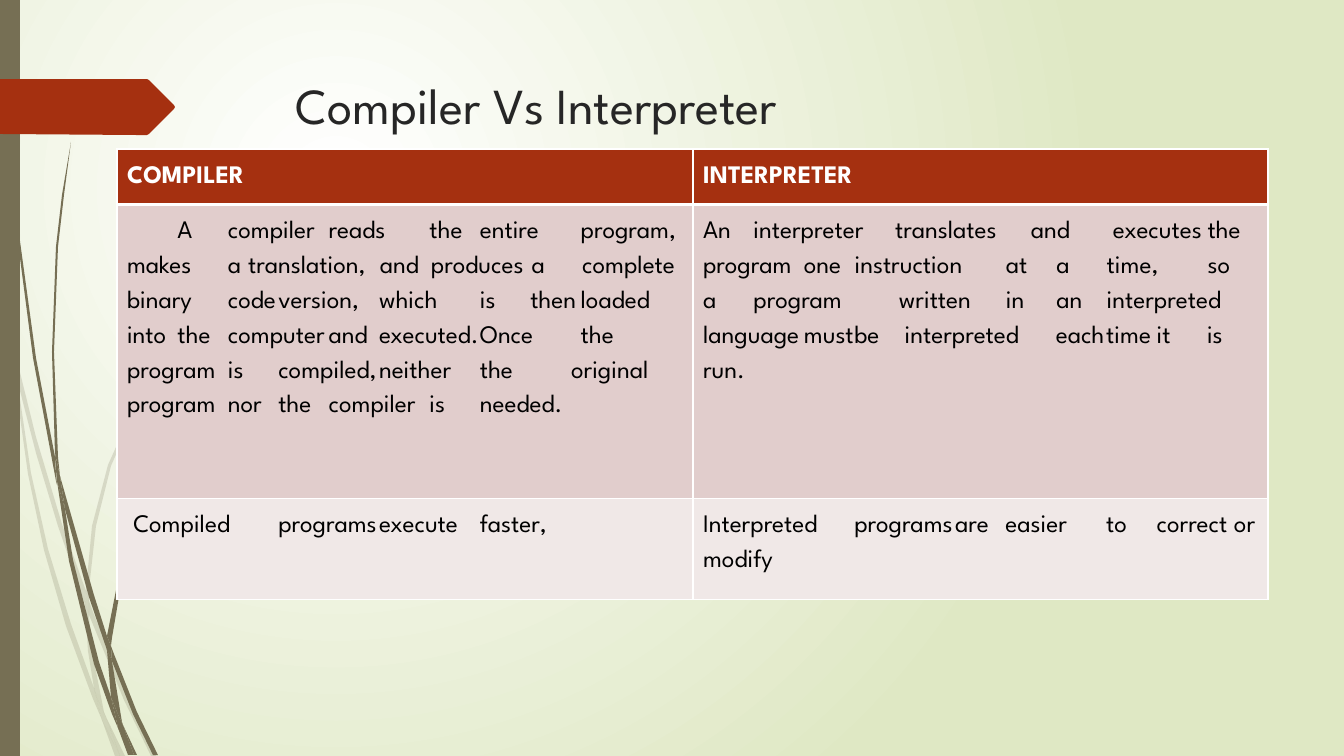
import typing

import lxml.etree
import pptx
import pptx.dml.color
import pptx.enum.shapes
import pptx.enum.text
import pptx.oxml.ns
import pptx.util

SCALE = 914400 / 100.8
FONT = "League Spartan"
HUES = {
    "white": "FFFFFF", "lime": "DFE8C4", "olive": "766F54", "rust": "A53010",
    "ink": "262626", "black": "000000", "rose": "E1CDCC", "blush": "F0E8E7",
}
ALIGN = pptx.enum.text.PP_ALIGN


class Form(typing.NamedTuple):
    """Closed outline: its points in pixels, hue and percent of cover."""
    points: str
    hue: str = "olive"
    cover: int = 100


class Row(typing.NamedTuple):
    """Table row: height, fill and cell texts."""
    height: int
    hue: str
    texts: tuple[str, str]


PALE = [
    "11,353 9,325 0,284 0,301 10,347",
    "58,526 85,604 86,591 62,524 36,437 14,348 17,379 36,453",
    "93,612 89,601 89,615 124,700 151,756 156,756 128,698",
    "120,756 125,756 106,717",
    "94,688 71,624 48,549 31,473 17,379 11,353 28,474 44,550 66,626 93,699 102,720 100,713",
    "85,604 88,651 94,688 97,698 106,717 104,712 92,651 89,615 89,613",
    "89,589 96,526 111,466 161,352 231,247 270,200 292,176 314,155 314,154 291,176 "
    "270,199 230,246 159,351 108,465 92,526 86,589 86,591 89,601",
    "102,720 115,756 120,756",
    "89,613 89,615 89,601 86,591 85,604",
    "97,698 94,688 100,713 102,720 120,756 106,717",
]
DARK = [
    "7,111 17,235 33,358 56,481 57,485 55,461 55,457 36,358 19,234 8,110 5,48 4,0 3,0 4,48",
    "89,597 107,650 107,638 107,636 94,595 60,476 65,509",
    "114,654 111,646 112,661 133,714 153,755 158,755 137,712",
    "111,697 99,662 73,560 65,509 57,481 69,561 94,664 112,714 118,728 117,723",
    "60,476 58,457 54,352 58,247 64,195 71,142 62,195 56,247 52,352 55,453",
    "134,755 137,755 123,725",
    "57,481 65,509 60,476 55,453 55,457",
    "112,638 126,556 159,480 207,409 233,377 247,362 263,347 247,361 "
    "233,376 206,408 157,478 123,555 107,636 111,646",
    "118,728 128,755 132,755",
    "107,650 111,697 117,712 123,725 122,722 112,661 110,656",
    "107,650 110,656 112,661 111,646 107,636",
    "117,712 111,697 117,723 118,728 131,755 134,755 123,725",
]
ARROW = Form("174,109 149,134 147,135 137,135 0,134 0,79 137,79 147,79 149,80 174,105 175,107",
             "rust")
ROWS = [
    Row(48, "rust", ("COMPILER", "INTERPRETER")),
    Row(294, "rose", (
        "\tA\tcompiler\treads\tthe\tentire\tprogram,\tmakes\ta translation,\tand \tproduces\ta"
        "\tcomplete\tbinary\tcode\tversion,\twhich\tis\tthen\tloaded into\tthe\tcomputer\tand"
        "\texecuted.\tOnce\tthe\tprogram\tis\tcompiled,\tneither\tthe original\tprogram\tnor"
        "\tthe\tcompiler\tis\tneeded.\t",
        "An\tinterpreter translates\tand\t executes\tthe\tprogram\tone \tinstruction\tat\ta"
        "\ttime,\tso\ta\tprogram written\tin\tan\tinterpreted\tlanguage\tmust\tbe"
        "\tinterpreted\teach\ttime\tit\tis\trun.")),
    Row(84, "blush", (
        " Compiled\tprograms\texecute\tfaster,",
        "Interpreted\tprograms\tare\teasier\tto\tcorrect or\tmodify")),
]
COLS = (576, 575)


def px(size: float) -> int:
    """Turn pixels into EMU."""
    return round(size * SCALE)


def rgb(hue: str) -> pptx.dml.color.RGBColor:
    """Look up a named colour."""
    return pptx.dml.color.RGBColor.from_string(HUES[hue])


def add(parent, tag: str, **attrs: str):
    """Add an XML child and return it."""
    return lxml.etree.SubElement(parent, pptx.oxml.ns.qn(tag), **attrs)


def write(frame, text: str, *, size: int, hue: str, bold: bool = False,
          align=ALIGN.LEFT, space: float = 1.0) -> None:
    """Put formatted text into a text frame."""
    frame.word_wrap = True
    para = frame.paragraphs[0]
    para.alignment, para.line_spacing = align, space
    run = para.add_run()
    run.text = text
    run.font.name, run.font.size, run.font.bold = FONT, pptx.util.Pt(size), bold
    run.font.color.rgb = rgb(hue)


def paint(shape, hue: str, cover: int = 100) -> None:
    """Give a shape a flat fill with no line or shadow."""
    shape.shadow.inherit = False
    shape.line.fill.background()
    shape.fill.solid()
    shape.fill.fore_color.rgb = rgb(hue)
    if cover < 100:
        for tint in shape.fill._xPr.iter(pptx.oxml.ns.qn("a:srgbClr")):
            add(tint, "a:alpha", val=str(cover * 1000))


def trace(slide, form: Form) -> None:
    """Draw a closed outline."""
    first, *rest = [tuple(map(int, spot.split(","))) for spot in form.points.split()]
    pen = slide.shapes.build_freeform(*first, scale=SCALE)
    pen.add_line_segments(rest, close=True)
    paint(pen.convert_to_shape(), form.hue, form.cover)


def shade(slide) -> None:
    """Lay the round gradient behind the slide."""
    fill = slide.background.fill
    fill.gradient()
    for stop, hue in zip(fill.gradient_stops, ("white", "lime")):
        stop.color.rgb = rgb(hue)
    line = next(slide._element.iter(pptx.oxml.ns.qn("a:lin")))
    grad = line.getparent()
    grad.remove(line)
    glow = add(grad, "a:path", path="circle")
    add(glow, "a:fillToRect", l="50000", t="50000", r="100000", b="100000")


def edge(cell, widths: dict[str, int]) -> None:
    """Set white cell borders, widths in points by side."""
    props = cell._tc.get_or_add_tcPr()
    for spot, (side, width) in enumerate(widths.items()):
        line = add(props, f"a:ln{side}", w=str(pptx.util.Pt(width)))
        add(add(line, "a:solidFill"), "a:srgbClr", val=HUES["white"])
        props.insert(spot, line)


def chart(slide) -> None:
    """Build the table that sets the two side by side."""
    high = sum(row.height for row in ROWS)
    table = slide.shapes.add_table(len(ROWS), len(COLS), px(117), px(149),
                                   px(sum(COLS)), px(high)).table
    table.horz_banding = False
    for col, width in zip(table.columns, COLS):
        col.width = px(width)
    for i, row in enumerate(ROWS):
        table.rows[i].height = px(row.height)
        head = i == 0
        for j, text in enumerate(row.texts):
            cell = table.cell(i, j)
            cell.fill.solid()
            cell.fill.fore_color.rgb = rgb(row.hue)
            edge(cell, {"L": 1, "R": 1, "T": 3 if i == 1 else 1, "B": 3 if head else 1})
            write(cell.text_frame, text, size=18, hue="white" if head else "black", bold=head,
                  align=ALIGN.LEFT if head else ALIGN.JUSTIFY, space=1.5)


def main() -> None:
    """Build and save the slide."""
    deck = pptx.Presentation()
    deck.slide_width, deck.slide_height = px(1344), px(756)
    slide = deck.slides.add_slide(deck.slide_layouts[6])
    shade(slide)
    for points in PALE:
        trace(slide, Form(points, cover=20))
    for points in DARK:
        trace(slide, Form(points))
    bar = slide.shapes.add_shape(pptx.enum.shapes.MSO_SHAPE.RECTANGLE, 0, 0, px(20), px(756))
    paint(bar, "olive")
    trace(slide, ARROW)
    title = slide.shapes.add_textbox(px(286), px(69), px(983), px(141))
    write(title.text_frame, "Compiler Vs Interpreter", size=36, hue="ink")
    chart(slide)
    deck.save("out.pptx")


main()
